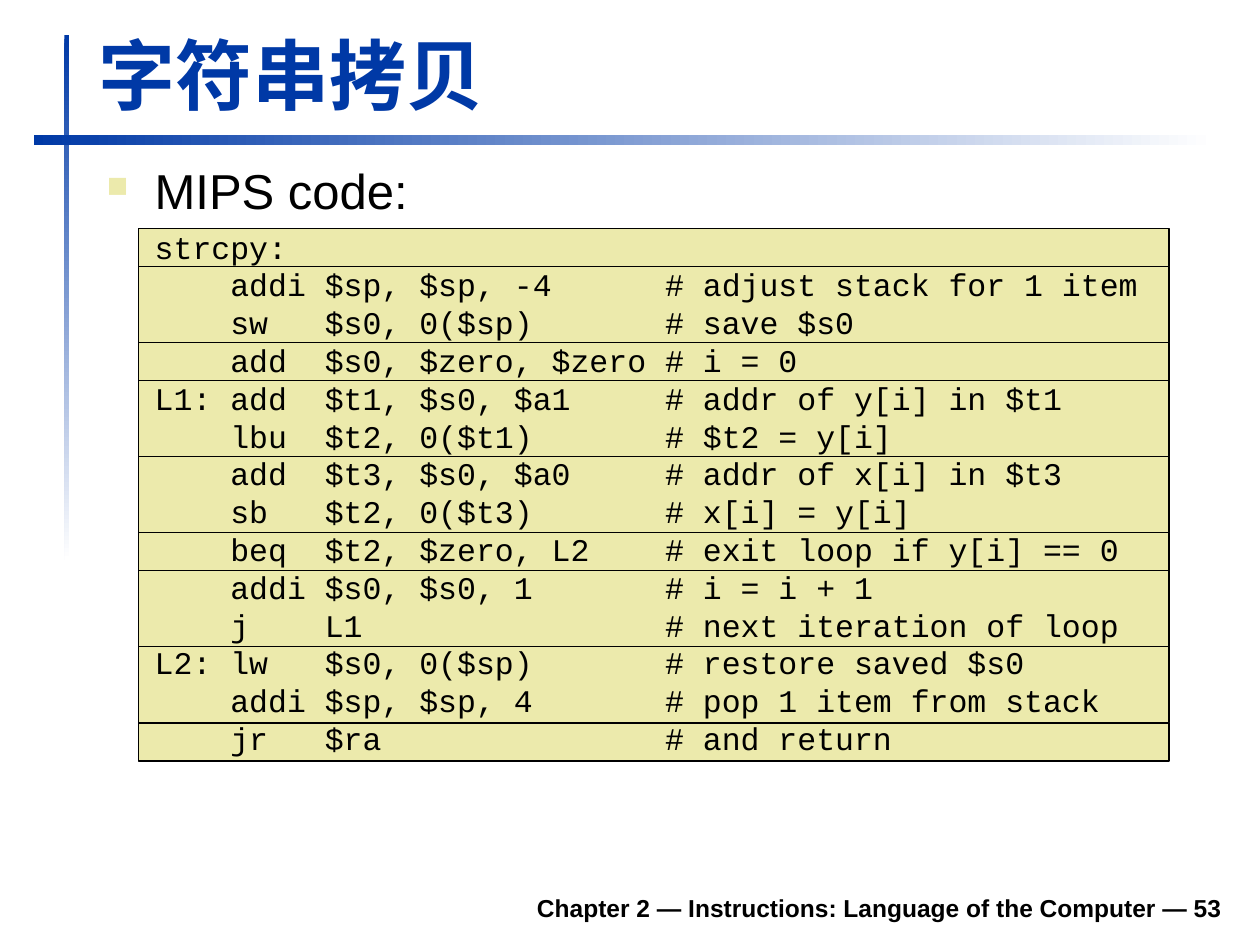
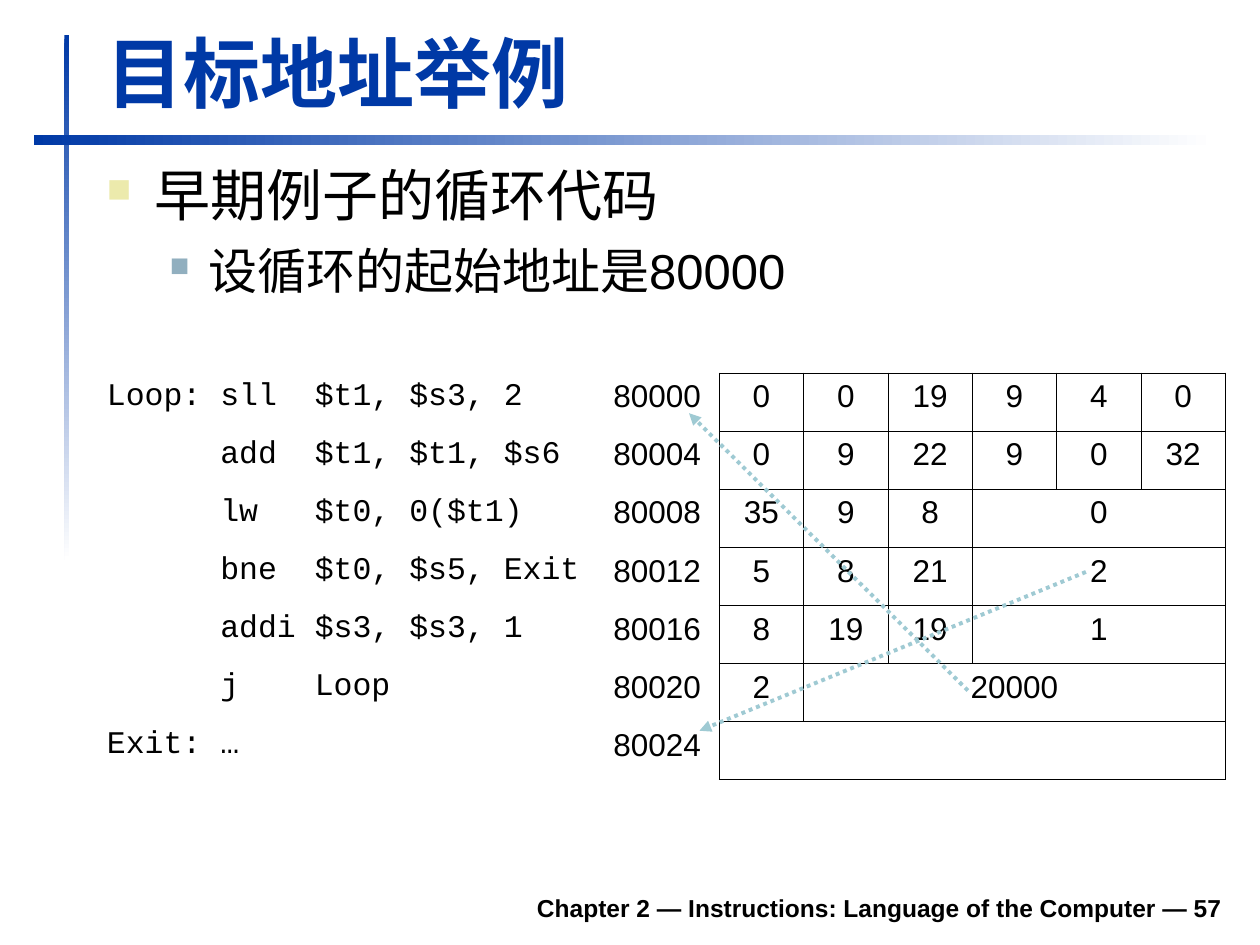
from itertools import accumulate

from lxml.etree import SubElement
from pptx import Presentation
from pptx.dml.color import RGBColor
from pptx.enum.dml import MSO_LINE
from pptx.enum.shapes import MSO_CONNECTOR, MSO_SHAPE
from pptx.enum.text import MSO_ANCHOR, MSO_AUTO_SIZE, PP_ALIGN
from pptx.oxml.ns import qn
from pptx.util import Cm, Pt

BLUE, WHITE, BLACK = "0039A6", "FFFFFF", "000000"
SAND, STEEL, AQUA = "ECEAAC", "91AFBF", "9FCAD3"
SANS, MONO = "Arial", "Courier New"

TITLE = dict(name=SANS, size=Pt(44), bold=True, color=BLUE)
FOOTER = dict(name=SANS, size=Pt(14), bold=True, color=BLACK)
BODY_LARGE = dict(name=SANS, size=Pt(32), color=BLACK)
BODY = dict(name=SANS, size=Pt(28), color=BLACK)
CELL = dict(name=SANS, size=Pt(18), color=BLACK)
CODE = dict(name=MONO, size=Pt(18), color=BLACK)

FOOTER_TEXT = "Chapter 2 — Instructions: Language of the Computer — {}"
BODY_LEFT, BODY_TOP, BODY_WIDTH = 1.9, 3.12, 22.96
LEVELS = [
    dict(left=0.97, hang=0.97, color=SAND, percent=60),
    dict(left=2.06, hang=0.79, color=STEEL, percent=55),
]

STRCPY = """strcpy:
    addi $sp, $sp, -4      # adjust stack for 1 item
    sw   $s0, 0($sp)       # save $s0
    add  $s0, $zero, $zero # i = 0
L1: add  $t1, $s0, $a1     # addr of y[i] in $t1
    lbu  $t2, 0($t1)       # $t2 = y[i]
    add  $t3, $s0, $a0     # addr of x[i] in $t3
    sb   $t2, 0($t3)       # x[i] = y[i]
    beq  $t2, $zero, L2    # exit loop if y[i] == 0
    addi $s0, $s0, 1       # i = i + 1
    j    L1                # next iteration of loop
L2: lw   $s0, 0($sp)       # restore saved $s0
    addi $sp, $sp, 4       # pop 1 item from stack
    jr   $ra               # and return"""
LINES_PER_BAND = [1, 2, 1, 2, 2, 1, 2, 2, 1]
CODE_TOP, CODE_HEIGHT = 4.6, 10.74

LOOP_START = 80000
LOOP = [
    ("Loop: sll  $t1, $s3, 2", [0, 0, 19, 9, 4, 0]),
    ("      add  $t1, $t1, $s6", [0, 9, 22, 9, 0, 32]),
    ("      lw   $t0, 0($t1)", [35, 9, 8, 0]),
    ("      bne  $t0, $s5, Exit", [5, 8, 21, 2]),
    ("      addi $s3, $s3, 1", [8, 19, 19, 1]),
    ("      j    Loop", [2, 20000]),
    ("Exit: …", [""]),
]
LOOP_WIDTHS = [10.21, 2.39] + [1.7] * 6
LOOP_ROW = 1.17


def rgb(color):
    return RGBColor.from_string(color)


def write(p, text, style):
    p.text = text
    for r in p.runs:
        for key, value in style.items():
            if key == "color":
                r.font.color.rgb = rgb(value)
            else:
                setattr(r.font, key, value)


def add_text(slide, box, text, style, align=PP_ALIGN.LEFT, anchor=MSO_ANCHOR.TOP):
    tf = slide.shapes.add_textbox(*map(Cm, box)).text_frame
    tf.word_wrap = True
    tf.vertical_anchor = anchor
    p = tf.paragraphs[0]
    p.alignment = align
    write(p, text, style)
    return tf


def add_rect(slide, box):
    sp = slide.shapes.add_shape(MSO_SHAPE.RECTANGLE, *map(Cm, box))
    sp.shadow.inherit = False
    return sp


def add_fading_bar(slide, box, angle):
    sp = add_rect(slide, box)
    sp.line.fill.background()
    sp.fill.gradient()
    sp.fill.gradient_angle = angle
    for stop, color, position in zip(sp.fill.gradient_stops, (BLUE, WHITE), (0, 1)):
        stop.color.rgb = rgb(color)
        stop.position = position


def add_code_band(slide, top, height):
    sp = add_rect(slide, (2.79, top, 20.78, height))
    sp.fill.solid()
    sp.fill.fore_color.rgb = rgb(SAND)
    sp.line.color.rgb = rgb(BLACK)
    sp.line.width = Pt(0.75)


def add_frame(prs, number):
    slide = prs.slides.add_slide(prs.slide_layouts[6])
    add_fading_bar(slide, (1.3, 0.71, 0.1, 10.59), 270)
    add_fading_bar(slide, (0.69, 2.72, 23.8, 0.2), 0)
    add_text(slide, (4.7, 17.73, 20.19, 0.99), FOOTER_TEXT.format(number), FOOTER,
             PP_ALIGN.RIGHT, MSO_ANCHOR.BOTTOM)
    return slide


def add_title(slide, left, top, text):
    tf = add_text(slide, (left, top, 22.94, 2.13), text, TITLE, anchor=MSO_ANCHOR.BOTTOM)
    tf.auto_size = MSO_AUTO_SIZE.SHAPE_TO_FIT_TEXT


def add_body(slide, height, text, style):
    tf = add_text(slide, (BODY_LEFT, BODY_TOP, BODY_WIDTH, height), text, style)
    set_bullet(tf.paragraphs[0], **LEVELS[0])
    return tf


def set_indent(p, left, hang=0):
    pPr = p._p.get_or_add_pPr()
    pPr.set("marL", str(Cm(left)))
    pPr.set("indent", str(-Cm(hang)))
    return pPr


def set_bullet(p, left, hang, color, percent):
    pPr = set_indent(p, left, hang)
    SubElement(SubElement(pPr, qn("a:buClr")), qn("a:srgbClr"), val=color)
    SubElement(pPr, qn("a:buSzPct"), val=str(percent * 1000))
    SubElement(pPr, qn("a:buChar"), char="■")


def set_borders(cell, left, right, top, bottom):
    tcPr = cell._tc.get_or_add_tcPr()
    sides = zip(("a:lnL", "a:lnR", "a:lnT", "a:lnB"), (left, right, top, bottom))
    for tag, color in sides:
        ln = SubElement(tcPr, qn(tag), w=str(Pt(0.45)))
        SubElement(SubElement(ln, qn("a:solidFill")), qn("a:srgbClr"), val=color)


def add_loop_table(slide):
    rows, cols = len(LOOP), len(LOOP_WIDTHS)
    box = (BODY_LEFT, 7.52, sum(LOOP_WIDTHS), rows * LOOP_ROW)
    table = slide.shapes.add_table(rows, cols, *map(Cm, box)).table
    table.first_row = table.horz_banding = False
    for column, width in zip(table.columns, LOOP_WIDTHS):
        column.width = Cm(width)
    for i, (instruction, fields) in enumerate(LOOP):
        table.rows[i].height = Cm(LOOP_ROW)
        for j in range(cols):
            cell = table.cell(i, j)
            edge = WHITE if j < 2 else BLACK
            set_borders(cell, edge, BLACK if j else WHITE, edge, edge)
            cell.fill.background()
        last = len(fields) + 1
        if last < cols - 1:
            table.cell(i, last).merge(table.cell(i, cols - 1))
        for j, value in enumerate([instruction, LOOP_START + 4 * i, *fields]):
            p = table.cell(i, j).text_frame.paragraphs[0]
            p.alignment = PP_ALIGN.LEFT if j < 2 else PP_ALIGN.CENTER
            write(p, str(value), CELL if j else CODE)


def add_jump_arrow(slide, *ends):
    line = slide.shapes.add_connector(MSO_CONNECTOR.STRAIGHT, *map(Cm, ends))
    line.line.color.rgb = rgb(AQUA)
    line.line.width = Pt(2.25)
    line.line.dash_style = MSO_LINE.ROUND_DOT
    SubElement(line.line._get_or_add_ln(), qn("a:tailEnd"), type="triangle")
    SubElement(line._element.spPr, qn("a:effectLst"))


def add_string_copy(prs):
    slide = add_frame(prs, 53)
    line_height = CODE_HEIGHT / sum(LINES_PER_BAND)
    starts = accumulate(LINES_PER_BAND, initial=0)
    for start, count in zip(starts, LINES_PER_BAND):
        add_code_band(slide, CODE_TOP + start * line_height, count * line_height)
    add_title(slide, 1.73, 0.41, "字符串拷贝")
    p = add_body(slide, 14.2, "MIPS code:", BODY).add_paragraph()
    set_indent(p, LEVELS[0]["left"])
    p.space_before = Pt(4.5)
    write(p, STRCPY, CODE)


def add_target_addresses(prs):
    slide = add_frame(prs, 57)
    add_title(slide, 1.9, 0.38, "目标地址举例")
    p = add_body(slide, 3.4, "早期例子的循环代码", BODY_LARGE).add_paragraph()
    set_bullet(p, **LEVELS[1])
    p.space_before = Pt(7)
    write(p, f"设循环的起始地址是{LOOP_START}", BODY)
    add_loop_table(slide)
    add_jump_arrow(slide, 19.51, 13.92, 13.89, 8.33)
    add_jump_arrow(slide, 21.89, 11.53, 14.1, 14.73)


def main():
    prs = Presentation()
    prs.slide_width, prs.slide_height = Cm(25.4), Cm(19.05)
    add_string_copy(prs)
    add_target_addresses(prs)
    prs.save("out.pptx")


if __name__ == "__main__":
    main()
